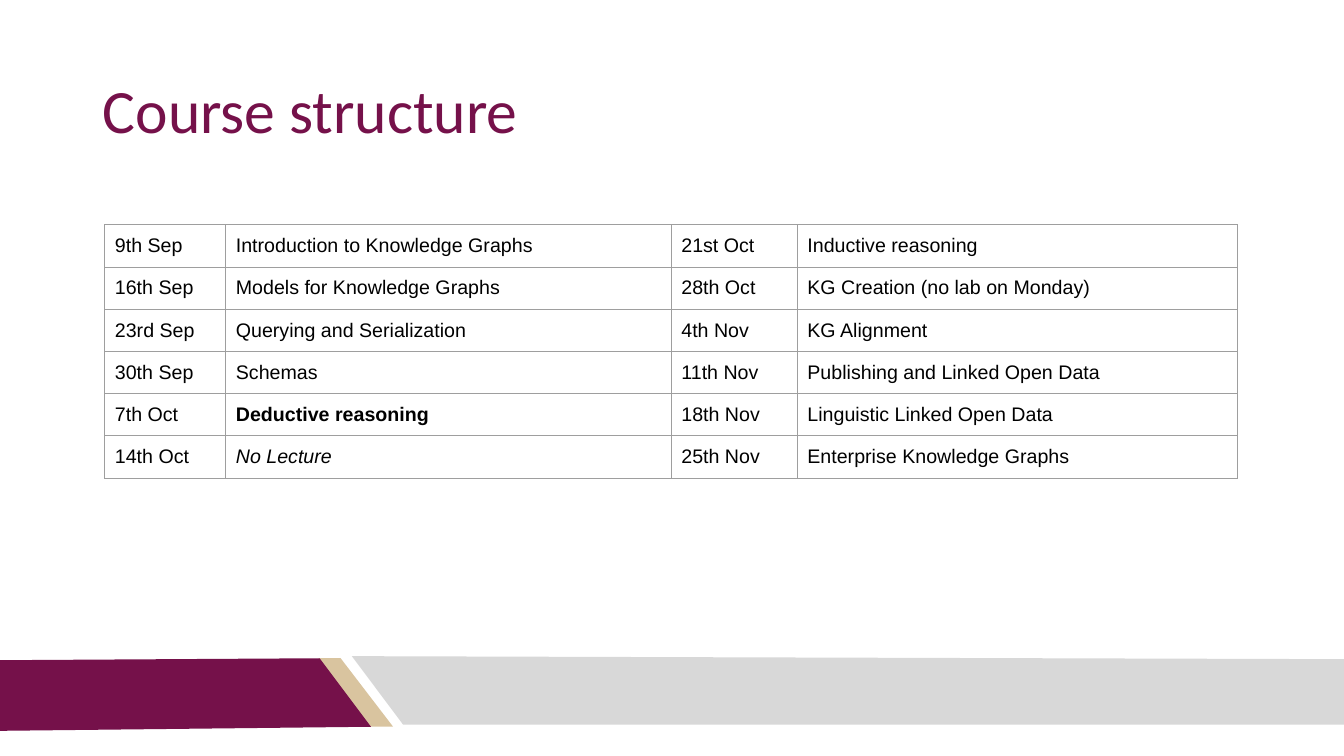
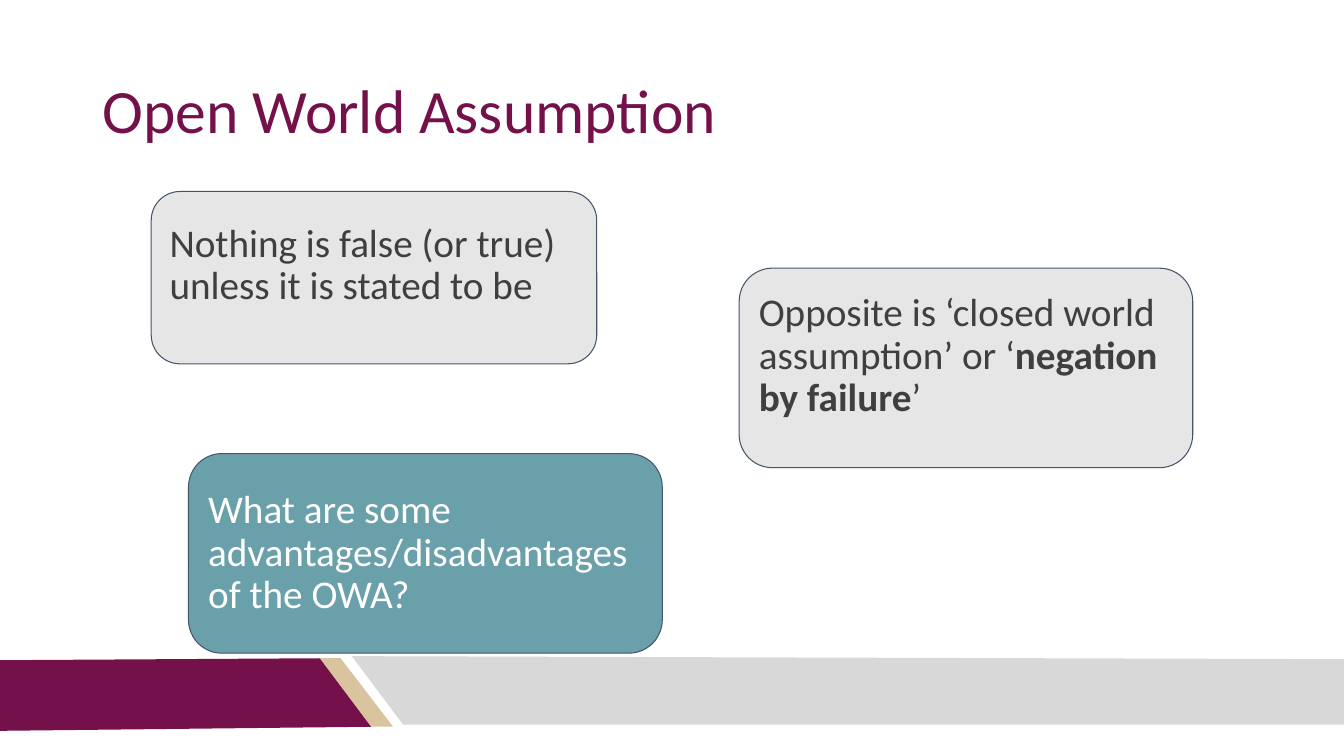
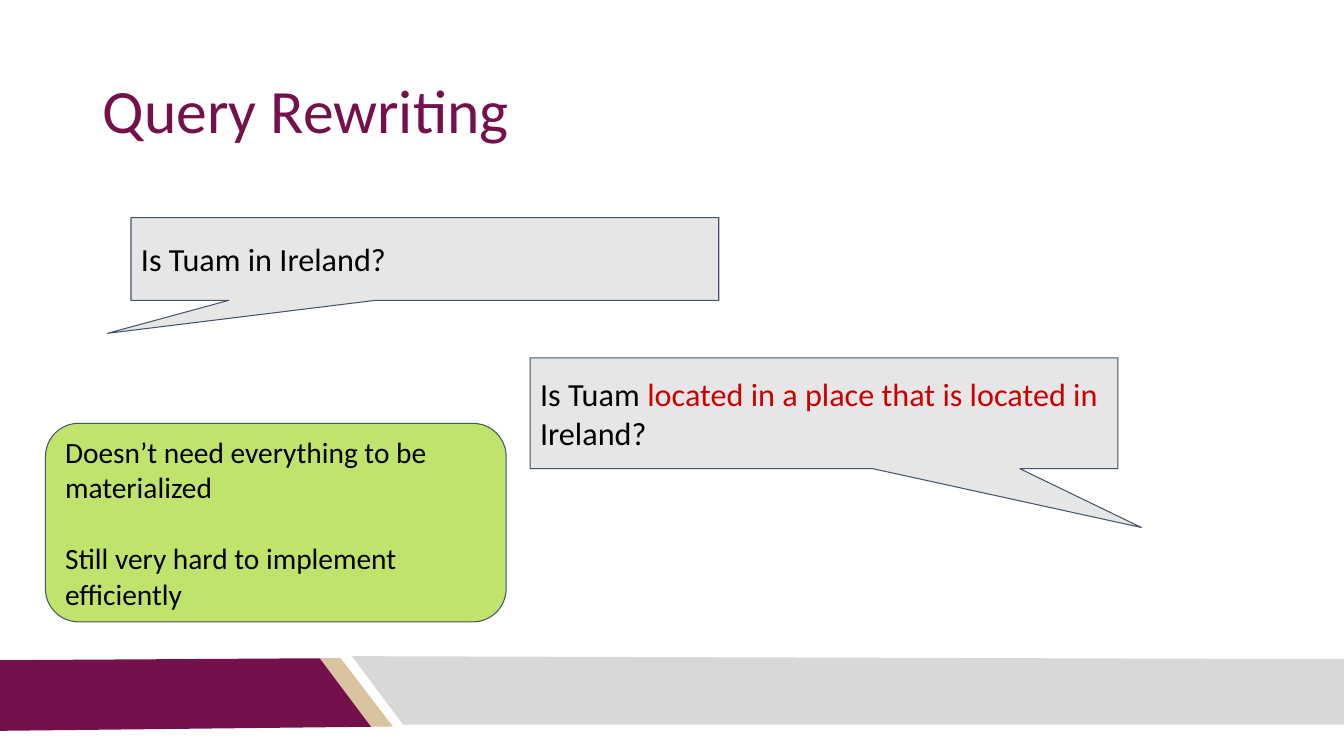
from lxml import etree
from pptx import Presentation, util as u
from pptx.dml.color import RGBColor
from pptx.enum import shapes, text
from pptx.oxml import ns

PLUM, SAND, SILVER = "75114A", "D9C49F", "D8D8D8"
PALE, TEAL, LIME, SLATE = "E7E6E6", "39818D", "B0DD46", "44546A"
BLACK, WHITE, CHARCOAL, RED, RULE = "000000", "FFFFFF", "3F3F3F", "CC0000", "9E9E9E"
INSET = 0.1


def paint(fill, color, opacity=100):
    fill.solid()
    fill.fore_color.rgb = RGBColor.from_string(color)
    if opacity < 100:
        tint = fill._xPr.find(".//" + ns.qn("a:srgbClr"))
        etree.SubElement(tint, ns.qn("a:alpha")).set("val", str(opacity * 1000))


def write(frame, paragraphs, size, color, font="Calibri", spacing=1.0, gap=0, tail=0):
    frame.word_wrap = True
    frame.auto_size = text.MSO_AUTO_SIZE.NONE
    frame.vertical_anchor = text.MSO_ANCHOR.MIDDLE
    frame.margin_left = frame.margin_right = frame.margin_top = u.Inches(INSET)
    frame.margin_bottom = u.Inches(INSET + tail)
    for number, runs in enumerate(paragraphs):
        paragraph = frame.add_paragraph() if number else frame.paragraphs[0]
        paragraph.alignment = text.PP_ALIGN.LEFT
        paragraph.line_spacing = spacing
        paragraph.space_before = u.Pt(gap if number else 0)
        for words, style in runs:
            run = paragraph.add_run()
            run.text = words
            run.font.name = font
            run.font.size = u.Pt(size)
            run.font.bold = style == "bold"
            run.font.italic = style == "italic"
            paint(run.font.fill, RED if style == "red" else color)


deck = Presentation()
deck.slide_width, deck.slide_height = u.Inches(13.333), u.Inches(7.5)
X, Y = deck.slide_width / 100, deck.slide_height / 100
layout = deck.slide_layouts[5]

heading = layout.placeholders[0]
heading.left, heading.top = int(6.9 * X), int(5.33 * Y)
heading.width, heading.height = int(86.25 * X), int(19.33 * Y)

pages = []
for topic in ("Course structure", "Open World Assumption", "Query Rewriting"):
    page = deck.slides.add_slide(layout)
    write(page.shapes.title.text_frame, [[(topic, "")]], size=44, color=PLUM, spacing=0.9)
    pages.append(page)
structure, assumption, rewriting = pages

bands = [
    (SAND, [(23.7, 87.07), (25.35, 87.07), (29.25, 96.13), (27.53, 96.13)]),
    (PLUM, [(-0.07, 87.33), (23.78, 87.07), (27.6, 96.13), (-0.07, 96.67)]),
    (SILVER, [(100.28, 95.87), (30, 95.87), (26.18, 86.8), (100.05, 87.2)]),
]
for color, corners in bands:
    corners = [(round(x * 100), round(y * 100)) for x, y in corners]
    outline = structure.shapes.build_freeform(*corners[0], scale=(X / 100, Y / 100))
    outline.add_line_segments(corners[1:], close=True)
    band = outline.convert_to_shape()
    band.shadow.inherit = False
    paint(band.fill, color)
    band.line.fill.background()
    layout.shapes.element.append(band.element)

schedule = [
    ("9th Sep", "Introduction to Knowledge Graphs", "21st Oct", "Inductive reasoning"),
    ("16th Sep", "Models for Knowledge Graphs", "28th Oct", "KG Creation (no lab on Monday)"),
    ("23rd Sep", "Querying and Serialization", "4th Nov", "KG Alignment"),
    ("30th Sep", "Schemas", "11th Nov", "Publishing and Linked Open Data"),
    ("7th Oct", "Deductive reasoning", "18th Nov", "Linguistic Linked Open Data"),
    ("14th Oct", "No Lecture", "25th Nov", "Enterprise Knowledge Graphs"),
]
emphasis = {"Deductive reasoning": "bold", "No Lecture": "italic"}
shares = (9, 33.15, 9.38, 32.78)
calendar = structure.shapes.add_table(
    len(schedule), len(shares), int(7.8 * X), int(29.73 * Y),
    int(sum(shares) * X), int(33.47 * Y)).table
calendar.first_row = calendar.horz_banding = False
for column, share in zip(calendar.columns, shares):
    column.width = int(share * X)
for r, week in enumerate(schedule):
    for c, entry in enumerate(week):
        cell = calendar.cell(r, c)
        write(cell.text_frame, [[(entry, emphasis.get(entry, ""))]],
              size=14, color=BLACK, font="Arial")
        cell.margin_left = cell.margin_right = u.Inches(INSET)
        cell.margin_top = cell.margin_bottom = u.Inches(INSET)
        cell.vertical_anchor = text.MSO_ANCHOR.TOP
        cell.fill.background()
        for place, side in enumerate(("lnL", "lnR", "lnT", "lnB")):
            edge = etree.Element(ns.qn("a:" + side), w=str(u.Pt(0.75)))
            ink = etree.SubElement(edge, ns.qn("a:solidFill"))
            etree.SubElement(ink, ns.qn("a:srgbClr"), val=RULE)
            cell._tc.tcPr.insert(place, edge)

ROUNDED = shapes.MSO_SHAPE.ROUNDED_RECTANGLE
SPEECH = shapes.MSO_SHAPE.ROUNDED_RECTANGULAR_CALLOUT
statement = dict(size=28, color=CHARCOAL, spacing=0.9, tail=0.23)
prompt = dict(size=28, color=WHITE, spacing=0.9)
question = dict(size=23, color=BLACK)
remark = dict(size=21, color=BLACK, gap=25.6)
cards = [
    (assumption, ROUNDED, (11.25, 25.33, 33.15, 22.8), (0.167,), (PALE,), statement,
     [[("Nothing is false (or true) unless it is stated to be", "")]]),
    (assumption, ROUNDED, (55, 35.47, 33.75, 26.4), (0.167,), (PALE,), statement,
     [[("Opposite is ‘closed world assumption’ or ‘", ""),
       ("negation by failure", "bold"), ("’", "")]]),
    (assumption, ROUNDED, (14.03, 60, 35.25, 26.4), (0.167,), (TEAL, 75), prompt,
     [[("What are some advantages/disadvantages of the OWA?", "")]]),
    (rewriting, SPEECH, (9.75, 28.8, 43.73, 10.93), (-0.54, 0.9, 0), (PALE,), question,
     [[("Is Tuam in Ireland?", "")]]),
    (rewriting, SPEECH, (39.45, 47.33, 43.73, 14.67), (0.54, 1.03, 0), (PALE,), question,
     [[("Is Tuam ", ""), ("located in a place that is located in", "red"),
       (" Ireland?", "")]]),
    (rewriting, ROUNDED, (3.38, 56, 34.28, 26.27), (0.167,), (LIME, 80), remark,
     [[("Doesn’t need everything to be materialized", "")],
      [("Still very hard to implement efficiently", "")]]),
]
for page, outline, (x, y, w, h), bends, tint, style, paragraphs in cards:
    card = page.shapes.add_shape(outline, int(x * X), int(y * Y), int(w * X), int(h * Y))
    card.shadow.inherit = False
    for number, bend in enumerate(bends):
        card.adjustments[number] = bend
    paint(card.fill, *tint)
    paint(card.line.fill, SLATE)
    card.line.width = u.Pt(0.75)
    write(card.text_frame, paragraphs, **style)

deck.save("out.pptx")
